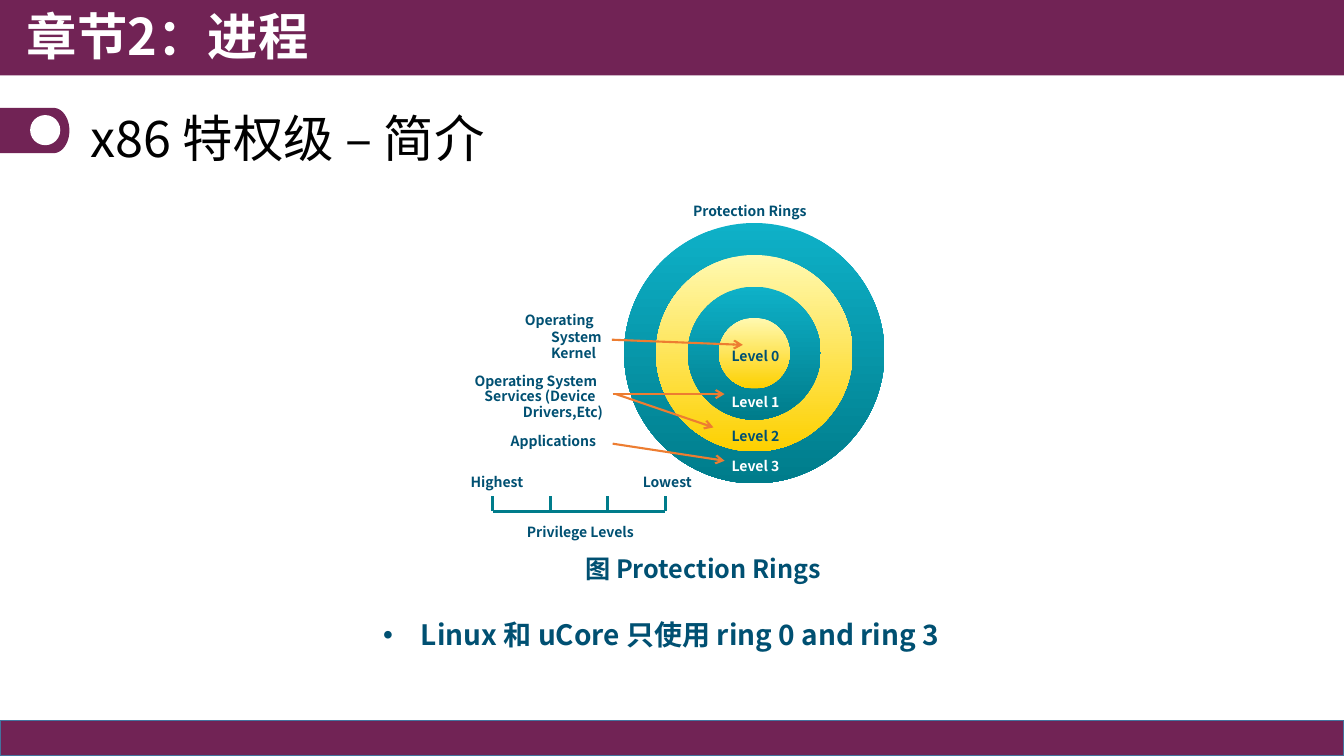
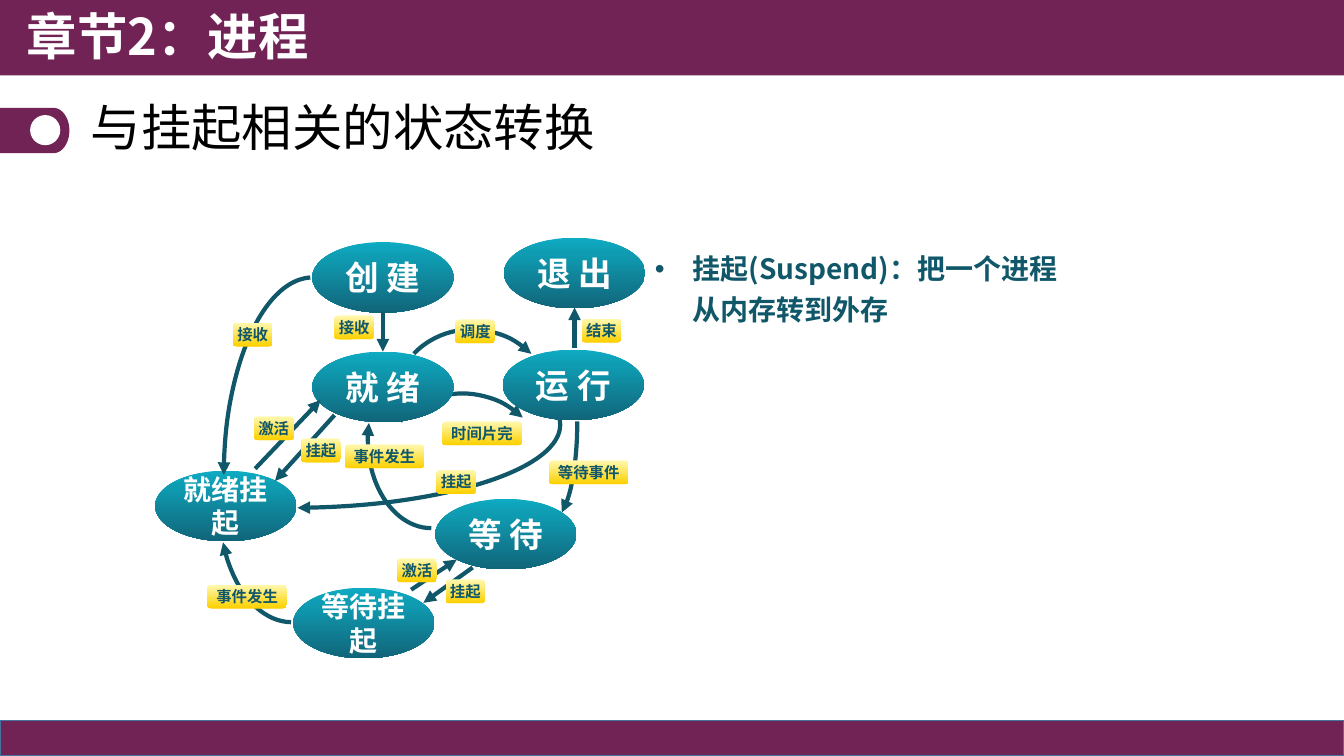
from math import cos, pi, sin

from lxml.etree import SubElement
from pptx import Presentation
from pptx.dml.color import RGBColor
from pptx.enum.shapes import MSO_CONNECTOR, MSO_SHAPE
from pptx.enum.text import MSO_ANCHOR, MSO_AUTO_SIZE, PP_ALIGN
from pptx.oxml.ns import qn
from pptx.util import Cm, Pt

FONT = "Noto Sans CJK SC"
BULLET_FONT = "Noto Sans CJK JP"
COLORS = {
    "plum": "712355", "footer_edge": "43739E", "white": "FFFFFF", "black": "000000",
    "navy": "005072", "teal": "11576A", "scale": "007C8B", "orange": "ED7D31",
}
TEAL_RING = [(0, "0EB1C8"), (100, "007C8B")]
YELLOW = [(0, "FFF9B1"), (100, "FDD000")]
STATE_TEAL = [(0, "0EABC2"), (23, "0F9BB1"), (100, "116579")]
WIDTH, HEIGHT = 33.87, 19.05

RING_CENTER = (19.01, 8.9)
RINGS = [(6.56, TEAL_RING), (4.95, YELLOW), (3.35, TEAL_RING), (1.78, YELLOW)]
LEVELS = [(8.64, "navy"), (9.8, "white"), (10.64, "navy"), (11.4, "white")]
RING_LABELS = [
    ("Protection Rings", 17.22, 4.98, 3.86, 0, 0),
    ("Operating System Kernel", 12.67, 7.72, 2.8, 0.97, -0.66),
    ("Operating System", 11.71, 9.25, 4.06, 0, 0),
    ("Services (Device Drivers,Etc)", 11.96, 9.63, 3.63, 0.97, -0.97),
    ("Applications", 12.62, 10.77, 2.9, 0, 0),
    ("Highest", 11.61, 11.8, 2.26, 0, 0),
    ("Lowest", 15.95, 11.8, 2.26, 0, 0),
    ("Privilege Levels", 13.03, 13.06, 3.86, 0, 0),
]
RING_ARROWS = [
    (15.42, 8.56, 18.72, 8.69), (15.44, 9.93, 18.26, 9.93),
    (15.52, 9.93, 17.98, 10.77), (15.44, 11.18, 18.26, 11.61),
]

STATES = [
    ("创 建", 7.87, 6.1, 24), ("就 绪", 7.87, 8.86, 24), ("运 行", 12.67, 8.81, 24),
    ("等 待", 10.97, 12.57, 24), ("退 出", 12.7, 5.99, 24),
    ("就绪挂起", 3.91, 11.86, 20), ("等待挂起", 7.39, 14.81, 20),
]
ARCS_BEHIND = [
    (13.28, 8.13, 1.27, 4.98, 0.13, 83.9, 0, "tailEnd"),
    (9.6, 9.88, 4.24, 4.37, 267.6, 359.3, 314, "tailEnd"),
]
ARCS_IN_FRONT = [
    (9.91, 8.26, 4.11, 4.27, 270, 0, 314, "tailEnd"),
    (0.43, 8.61, 13.69, 4.19, 359, 83.9, 0, "tailEnd"),
    (9.27, 8.84, 3.2, 4.47, 90, 194.8, 0, "tailEnd"),
    (5.54, 9.96, 3.63, 5.72, 90.4, 153.9, 0, "tailEnd"),
    (5.64, 6.99, 4.5, 10.03, 180.9, 269.2, 0, "headEnd"),
]
TRANSITIONS = [
    (9.65, 7.87, 9.65, 8.86), (14.48, 8.76, 14.48, 7.75),
    (11.91, 14.3, 10.67, 15.19), (10.36, 14.86, 11.51, 14.1),
    (6.43, 11.81, 8.08, 10.08), (8.43, 10.46, 6.93, 12.12),
]
EVENTS = [
    ("挂起", 11, 11.84), ("接收", 5.87, 8.13), ("事件发生", 5.23, 14.73),
    ("接收", 8.43, 7.95), ("激活", 6.4, 10.49), ("挂起", 7.59, 11.05),
    ("事件发生", 8.69, 11.2), ("激活", 10.01, 14.07), ("挂起", 11.23, 14.6),
    ("等待事件", 13.84, 11.6), ("时间片完", 11.15, 10.62), ("调度", 11.48, 8.05),
    ("结束", 14.66, 8.03),
]


def rgb(name):
    return RGBColor.from_string(COLORS[name])


def place(shape, left, top, width, height):
    shape.left, shape.top, shape.width, shape.height = map(Cm, (left, top, width, height))


def write(shape, text, size, color, bold=True, align=PP_ALIGN.LEFT):
    frame = shape.text_frame
    frame.word_wrap = True
    frame.auto_size = MSO_AUTO_SIZE.NONE
    frame.text = text
    paragraph = frame.paragraphs[0]
    paragraph.alignment = align
    paragraph.space_before = Pt(0)
    font = paragraph.font
    font.name, font.size, font.bold = FONT, Pt(size), bold
    font.color.rgb = rgb(color)
    defaults = paragraph._p.pPr.find(qn("a:defRPr"))
    SubElement(defaults, qn("a:ea")).set("typeface", FONT)
    return paragraph


def set_indent(paragraph, margin, first_line):
    properties = paragraph._p.get_or_add_pPr()
    properties.set("marL", str(Cm(margin)))
    properties.set("indent", str(Cm(first_line)))


def add_label(slide, text, left, top, width, size, color, height=0.8):
    label = slide.shapes.add_textbox(Cm(left), Cm(top), Cm(width), Cm(height))
    return write(label, text, size, color)


def add_solid(slide, kind, left, top, width, height, color):
    shape = slide.shapes.add_shape(kind, Cm(left), Cm(top), Cm(width), Cm(height))
    shape.shadow.inherit = False
    shape.fill.solid()
    shape.fill.fore_color.rgb = rgb(color)
    shape.line.fill.background()
    return shape


def add_gradient(slide, kind, left, top, width, height, stops):
    shape = slide.shapes.add_shape(kind, Cm(left), Cm(top), Cm(width), Cm(height))
    shape.shadow.inherit = False
    shape.line.fill.background()
    shape.fill.gradient()
    shape.fill.gradient_angle = 270
    stop_list = shape._element.spPr.find(qn("a:gradFill")).find(qn("a:gsLst"))
    for stop in list(stop_list):
        stop_list.remove(stop)
    for position, color in stops:
        stop = SubElement(stop_list, qn("a:gs"))
        stop.set("pos", str(position * 1000))
        SubElement(stop, qn("a:srgbClr")).set("val", color)
    return shape


def add_gradient_text(slide, kind, box, stops, text, size, color):
    shape = add_gradient(slide, kind, *box, stops)
    frame = shape.text_frame
    frame.margin_left = frame.margin_right = frame.margin_top = frame.margin_bottom = 0
    frame.vertical_anchor = MSO_ANCHOR.MIDDLE
    write(shape, text, size, color, align=PP_ALIGN.CENTER)


def style_stroke(shape, color, width, end=None, head="triangle"):
    shape.line.color.rgb = rgb(color)
    shape.line.width = Pt(width)
    if end:
        stroke = shape._element.spPr.find(qn("a:ln"))
        SubElement(stroke, qn(f"a:{end}")).set("type", head)


def add_line(slide, points, color, width, end=None, head="triangle"):
    line = slide.shapes.add_connector(MSO_CONNECTOR.STRAIGHT, *map(Cm, points))
    style_stroke(line, color, width, end, head)
    SubElement(line._element.spPr, qn("a:effectLst"))


def add_arc(slide, left, top, width, height, start, stop, rotation, end):
    arc = slide.shapes.add_shape(MSO_SHAPE.ARC, Cm(left), Cm(top), Cm(width), Cm(height))
    arc.shadow.inherit = False
    arc.fill.background()
    arc.adjustments[0], arc.adjustments[1] = start * 0.6, stop * 0.6
    arc.rotation = rotation
    style_stroke(arc, "teal", 3, end)


def add_layout_bands(slide):
    footer = add_solid(slide, MSO_SHAPE.RECTANGLE, 0, 18.15, WIDTH, 0.9, "plum")
    style_stroke(footer, "footer_edge", 1)
    header = add_solid(slide, MSO_SHAPE.RECTANGLE, 0, 0, WIDTH, 1.9, "plum")
    for number, band in enumerate((footer, header), 101):
        band._element.nvSpPr.cNvPr.set("id", str(number))
        slide.slide_layout.shapes._spTree.insert(2, band._element)


def add_title_marker(slide):
    top, radius = 2.72, 0.57
    curve = [(1.35 + 0.4 * cos(step * pi / 24), top + radius + radius * sin(step * pi / 24))
             for step in range(-12, 13)]
    outline = [(0, top), *curve, (0, top + 2 * radius)]
    points = [(Cm(x), Cm(y)) for x, y in outline]
    builder = slide.shapes.build_freeform(*points[0])
    builder.add_line_segments(points[1:], close=True)
    tab = builder.convert_to_shape()
    tab.shadow.inherit = False
    tab.fill.solid()
    tab.fill.fore_color.rgb = rgb("plum")
    tab.line.fill.background()
    add_solid(slide, MSO_SHAPE.OVAL, 0.76, 2.9, 0.76, 0.76, "white")


def add_chapter_slide(prs, title, anchor):
    slide = prs.slides.add_slide(prs.slide_layouts[1])
    if len(prs.slides) == 1:
        add_layout_bands(slide)
    add_label(slide, "章节2：进程", 0.43, 0, 16.94, 36, "white", 1.96)
    place(slide.shapes.title, 2.03, 2.21, 25.4, 2.16)
    heading = write(slide.shapes.title, title, 36, "black", bold=False)
    heading.line_spacing = 0.9
    slide.shapes.title.text_frame.vertical_anchor = anchor
    add_title_marker(slide)
    return slide


def fill_body(slide, text, box, color, indent, bullet_percent, line_spacing):
    body = slide.placeholders[1]
    place(body, *box)
    body.text_frame.vertical_anchor = MSO_ANCHOR.TOP
    paragraph = body.text_frame.paragraphs[0]
    set_indent(paragraph, indent, -indent)
    properties = paragraph._p.get_or_add_pPr()
    bullet_color = SubElement(properties, qn("a:buClr"))
    SubElement(bullet_color, qn("a:srgbClr")).set("val", COLORS["teal"])
    SubElement(properties, qn("a:buSzPct")).set("val", str(bullet_percent * 1000))
    SubElement(properties, qn("a:buFont")).set("typeface", BULLET_FONT)
    SubElement(properties, qn("a:buChar")).set("char", "■")
    write(body, text, 20, color).line_spacing = line_spacing


def add_privilege_scale(slide):
    left, step, base, tick_top = 12.42, 1.45, 12.88, 12.5
    add_line(slide, (left, base, left + 3 * step, base), "scale", 2.25)
    for tick in range(4):
        x = left + tick * step
        add_line(slide, (x, base, x, tick_top), "scale", 2.25)


def build_rings_slide(prs):
    slide = add_chapter_slide(prs, "x86 特权级 – 简介", MSO_ANCHOR.BOTTOM)
    center_x, center_y = RING_CENTER
    for size, stops in RINGS:
        add_gradient(slide, MSO_SHAPE.OVAL, center_x - size / 2, center_y - size / 2,
                     size, size, stops)
    add_privilege_scale(slide)
    for text, left, top, width, margin, first_line in RING_LABELS:
        set_indent(add_label(slide, text, left, top, width, 10, "navy"), margin, first_line)
    add_label(slide, "图 Protection Rings", 14.5, 13.82, 7.8, 18, "navy")
    for points in RING_ARROWS:
        add_line(slide, points, "orange", 1.5, "tailEnd", "arrow")
    for level, (top, color) in enumerate(LEVELS):
        add_label(slide, f"Level {level}", 18.19, top, 1.88, 10, color)
    fill_body(slide, "Linux 和 uCore 只使用 ring 0 and ring 3", (9.4, 15.44, 20, 1.1),
              "navy", 1, 90, 1)


def build_states_slide(prs):
    slide = add_chapter_slide(prs, "与挂起相关的状态转换", MSO_ANCHOR.MIDDLE)
    for arc in ARCS_BEHIND:
        add_arc(slide, *arc)
    for text, left, top, size in STATES:
        add_gradient_text(slide, MSO_SHAPE.OVAL, (left, top, 3.56, 1.78), STATE_TEAL,
                          text, size, "white")
    for arc in ARCS_IN_FRONT:
        add_arc(slide, *arc)
    for points in TRANSITIONS:
        add_line(slide, points, "teal", 3, "tailEnd")
    for text, left, top in EVENTS:
        add_gradient_text(slide, MSO_SHAPE.ROUNDED_RECTANGLE, (left, top, len(text) / 2, 0.6),
                          YELLOW, text, 11, "teal")
    fill_body(slide, "挂起(Suspend)：把一个进程从内存转到外存", (16.25, 6.05, 10.7, 2.3),
              "teal", 0.86, 100, 1.2)


def main():
    prs = Presentation()
    prs.slide_width, prs.slide_height = Cm(WIDTH), Cm(HEIGHT)
    build_rings_slide(prs)
    build_states_slide(prs)
    prs.save("out.pptx")


if __name__ == "__main__":
    main()
